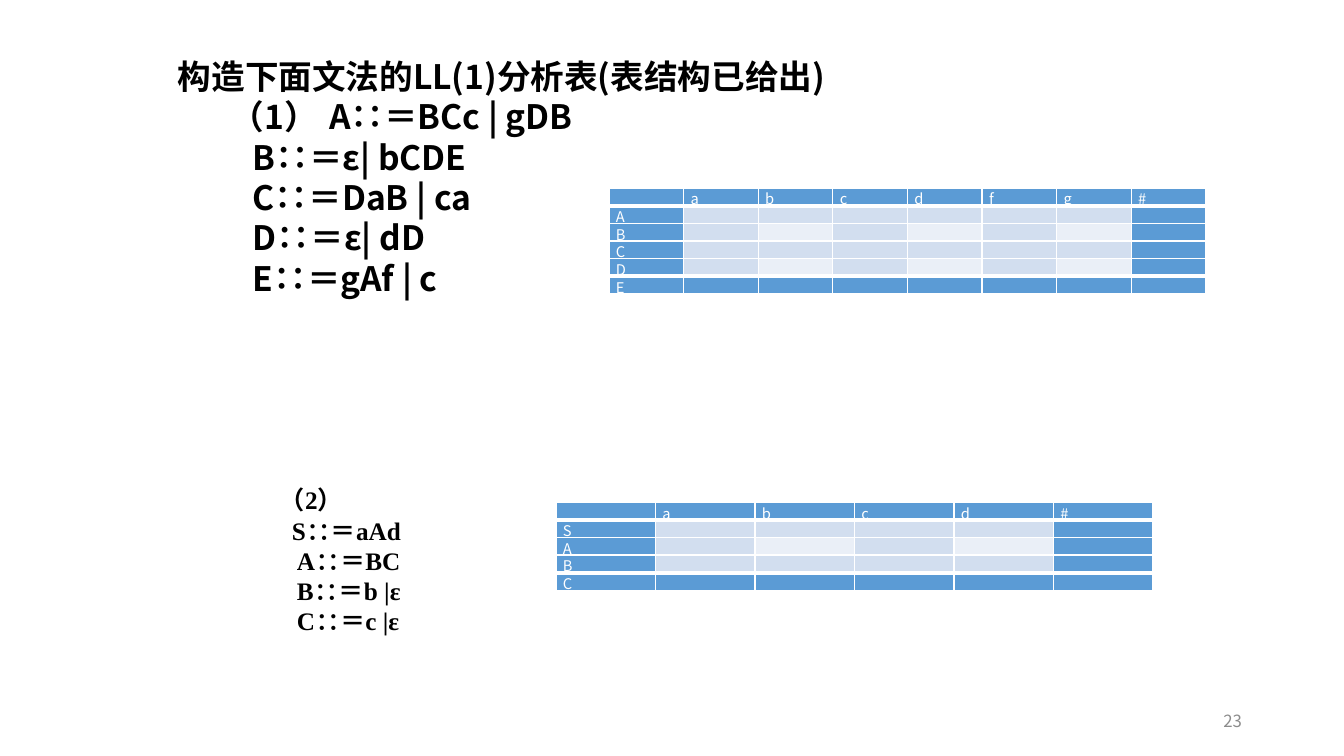
from lxml import etree
from pptx import Presentation
from pptx.dml.color import RGBColor
from pptx.enum.text import MSO_ANCHOR, MSO_AUTO_SIZE, PP_ALIGN
from pptx.oxml.ns import qn
from pptx.util import Pt

PX = 914400 / 100.8
LEFT, RIGHT, JUSTIFY = PP_ALIGN.LEFT, PP_ALIGN.RIGHT, PP_ALIGN.JUSTIFY
TOP, MIDDLE = MSO_ANCHOR.TOP, MSO_ANCHOR.MIDDLE
GROW, FIXED = MSO_AUTO_SIZE.SHAPE_TO_FIT_TEXT, MSO_AUTO_SIZE.NONE
SANS, SERIF = "Noto Sans CJK SC", "Times New Roman"
BLUE, PALE, PALER, WHITE = "5B9BD5", "D2DEEF", "EAEFF7", "FFFFFF"


def px(n):
    return round(n * PX)


def add_text(tf, lines, size, font=SANS, color="000000", bold=False, align=LEFT,
             pitch=None, tab=None):
    """Write (text, first-line indent) pairs as paragraphs."""
    for i, (text, indent) in enumerate(lines):
        p = tf.paragraphs[0] if i == 0 else tf.add_paragraph()
        p.alignment = align
        if pitch:
            p.line_spacing = Pt(pitch)
        pPr = p._p.get_or_add_pPr()
        pPr.set("marL", "0")
        pPr.set("indent", str(px(indent)))
        if "\t" in text:
            tabs = etree.SubElement(pPr, qn("a:tabLst"))
            etree.SubElement(tabs, qn("a:tab"), pos=str(px(tab)), algn="l")
        r = p.add_run()
        r.text = text
        r.font.size, r.font.bold, r.font.name = Pt(size), bold, font
        r.font.color.rgb = RGBColor.from_string(color)
        etree.SubElement(r._r.get_or_add_rPr(), qn("a:ea"), typeface=SANS)


prs = Presentation()
prs.slide_width, prs.slide_height = px(1344), px(756)
s = prs.slides.add_slide(prs.slide_layouts[6])

# Page number and the two grammars
texts = [
    ((950, 701, 302, 40), MIDDLE, FIXED, [("23", 0)],
     dict(size=12, color="8C8C8C", align=RIGHT)),
    ((168, 51, 863, 254), TOP, GROW,
     [("构造下面文法的LL(1)分析表(表结构已给出)", 0),
      ("（1）\tA∷＝BCc | gDB", 53),
      ("B∷＝ε| bCDE", 75),
      ("C∷＝DaB | ca", 75),
      ("D∷＝ε| dD", 75),
      ("E∷＝gAf | c", 75)],
     dict(size=24, bold=True, pitch=28.8, tab=187)),
    ((251, 480, 672, 163), TOP, GROW,
     [("（2）", 19),
      ("S∷＝aAd", 31),
      ("A∷＝BC", 36),
      ("B∷＝b |ε", 36),
      ("C∷＝c |ε", 36)],
     dict(size=18, font=SERIF, bold=True, align=JUSTIFY, pitch=21.5)),
]
for box, anchor, fit, lines, style in texts:
    tf = s.shapes.add_textbox(*map(px, box)).text_frame
    tf.word_wrap, tf.auto_size, tf.vertical_anchor = True, fit, anchor
    add_text(tf, lines, **style)

# LL(1) tables: blue frame, pale body with a lighter check
tables = [
    ((609, 188, 597, 106), "abcdfg#", "ABCDE"),
    ((556, 502, 597, 89), "abcd#", "SABC"),
]
for box, terminals, symbols in tables:
    last_row, last_col = len(symbols), len(terminals)
    gf = s.shapes.add_table(last_row + 1, last_col + 1, *map(px, box))
    table = gf.table
    for row in table.rows:
        row.height = 0
    gf.height = px(box[3])
    for i in range(last_row + 1):
        for j in range(last_col + 1):
            cell = table.cell(i, j)
            cell.margin_left = cell.margin_right = px(7)
            cell.margin_top = cell.margin_bottom = 0
            label = terminals[j - 1] if i == 0 and j else symbols[i - 1] if i and j == 0 else ""
            if label:
                add_text(cell.text_frame, [(label, 0)], 10.5, color=WHITE, align=JUSTIFY)
            else:
                etree.SubElement(cell.text_frame.paragraphs[0]._p, qn("a:endParaRPr"), sz="1050")
            # Borders, thicker below the header and above the last row
            tcPr = cell._tc.get_or_add_tcPr()
            for side in ("lnL", "lnR", "lnT", "lnB"):
                thick = (side, i) in (("lnB", 0), ("lnT", last_row))
                ln = etree.SubElement(tcPr, qn("a:" + side), w=str(Pt(3 if thick else 1)))
                fill = etree.SubElement(ln, qn("a:solidFill"))
                etree.SubElement(fill, qn("a:srgbClr"), val=WHITE)
            framed = i in (0, last_row) or j in (0, last_col)
            cell.fill.solid()
            cell.fill.fore_color.rgb = RGBColor.from_string(
                BLUE if framed else PALER if i % 2 == 0 and j % 2 == 0 else PALE)

prs.save("out.pptx")
